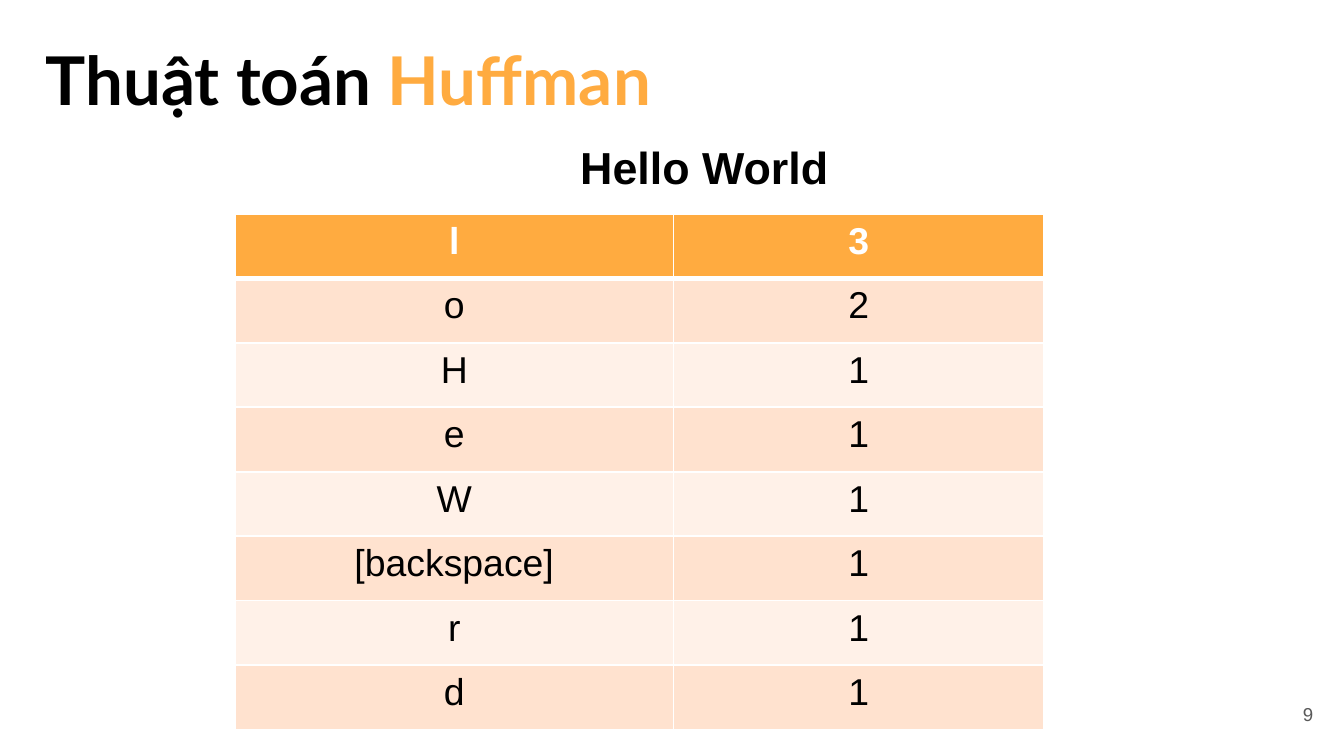
from lxml import etree
from pptx import Presentation
from pptx.dml.color import RGBColor
from pptx.enum.text import MSO_ANCHOR, MSO_AUTO_SIZE, PP_ALIGN
from pptx.oxml.ns import qn
from pptx.util import Inches, Pt

LEFT, CENTER, RIGHT = PP_ALIGN.LEFT, PP_ALIGN.CENTER, PP_ALIGN.RIGHT
TOP, MIDDLE = MSO_ANCHOR.TOP, MSO_ANCHOR.MIDDLE
NO_AUTOFIT = MSO_AUTO_SIZE.NONE
TITLE_ONLY = 5
SLIDE_WIDTH = 10
SLIDE_HEIGHT = SLIDE_WIDTH * 9 / 16

COLORS = {
    "text": "000000",
    "accent": "FFAB40",
    "white": "FFFFFF",
    "band_dark": "FFE2CF",
    "band_light": "FFF1E8",
    "number": "595959",
}
FREQUENCIES = [
    ("l", 3), ("o", 2), ("H", 1), ("e", 1),
    ("W", 1), ("[backspace]", 1), ("r", 1), ("d", 1),
]


def rgb(name):
    return RGBColor.from_string(COLORS[name])


def format_run(run, size, color, bold=False, font="Arial"):
    run.font.size = Pt(size)
    run.font.name = font
    run.font.bold = bold
    run.font.color.rgb = rgb(color)


def set_frame(frame, align, anchor, inset_x=0.1, inset_y=0.1):
    frame.word_wrap = True
    frame.auto_size = NO_AUTOFIT
    frame.vertical_anchor = anchor
    frame.margin_left = frame.margin_right = Inches(inset_x)
    frame.margin_top = frame.margin_bottom = Inches(inset_y)
    frame.paragraphs[0].alignment = align


def place_title(slide, left, top, width, height):
    title = slide.shapes.title
    title.left, title.top = Inches(left), Inches(top)
    title.width, title.height = Inches(width), Inches(height)
    set_frame(title.text_frame, LEFT, MIDDLE)
    for words, color in (("Thuật toán ", "text"), ("Huffman", "accent")):
        run = title.text_frame.paragraphs[0].add_run()
        run.text = words
        format_run(run, 36, color, bold=True, font="Lato")


def place_label(slide, left, top, width, height, words, size, color, align,
                anchor, bold=False, inset_y=0.1):
    label = slide.shapes.add_textbox(
        Inches(left), Inches(top), Inches(width), Inches(height))
    label.text_frame.text = words
    set_frame(label.text_frame, align, anchor, inset_y=inset_y)
    format_run(label.text_frame.paragraphs[0].runs[0], size, color, bold)


def add_borders(cell, widths):
    properties = cell._tc.get_or_add_tcPr()
    for side, points in widths.items():
        border = etree.SubElement(properties, qn(f"a:ln{side}"), w=str(Pt(points)))
        fill = etree.SubElement(border, qn("a:solidFill"))
        etree.SubElement(fill, qn("a:srgbClr"), val=COLORS["white"])


def place_frequency_table(slide, left, top, width, height, symbol_width):
    table = slide.shapes.add_table(
        len(FREQUENCIES), 2, Inches(left), Inches(top),
        Inches(width), Inches(height)).table
    table.columns[0].width = Inches(symbol_width)
    table.columns[1].width = Inches(width - symbol_width)
    for row, values in enumerate(FREQUENCIES):
        table.rows[row].height = Inches(height / len(FREQUENCIES))
        header = row == 0
        band = "accent" if header else "band_dark" if row % 2 else "band_light"
        borders = {"L": 1, "R": 1, "T": 3 if row == 1 else 1, "B": 3 if header else 1}
        for column, value in enumerate(values):
            cell = table.cell(row, column)
            add_borders(cell, borders)
            cell.fill.solid()
            cell.fill.fore_color.rgb = rgb(band)
            cell.text_frame.text = str(value)
            paragraph = cell.text_frame.paragraphs[0]
            paragraph.alignment = CENTER
            format_run(paragraph.runs[0], 20, "white" if header else "text", header)


def build_frequency_slide(deck):
    slide = deck.slides.add_slide(deck.slide_layouts[TITLE_ONLY])
    slide.background.fill.solid()
    slide.background.fill.fore_color.rgb = rgb("white")
    place_label(slide, 9.27, 5.1, 0.6, 0.43, "9", 10, "number", RIGHT, MIDDLE)
    place_title(slide, 0.24, 0.32, 9.32, 0.53)
    place_frequency_table(slide, 1.75, 1.59, 6.02, 3.84, 3.26)
    place_label(slide, 2.74, 0.99, 5, 0.5, "Hello World", 24, "text", CENTER,
                TOP, bold=True, inset_y=0.05)


def main():
    deck = Presentation()
    deck.slide_width, deck.slide_height = Inches(SLIDE_WIDTH), Inches(SLIDE_HEIGHT)
    build_frequency_slide(deck)
    deck.save("out.pptx")


if __name__ == "__main__":
    main()
